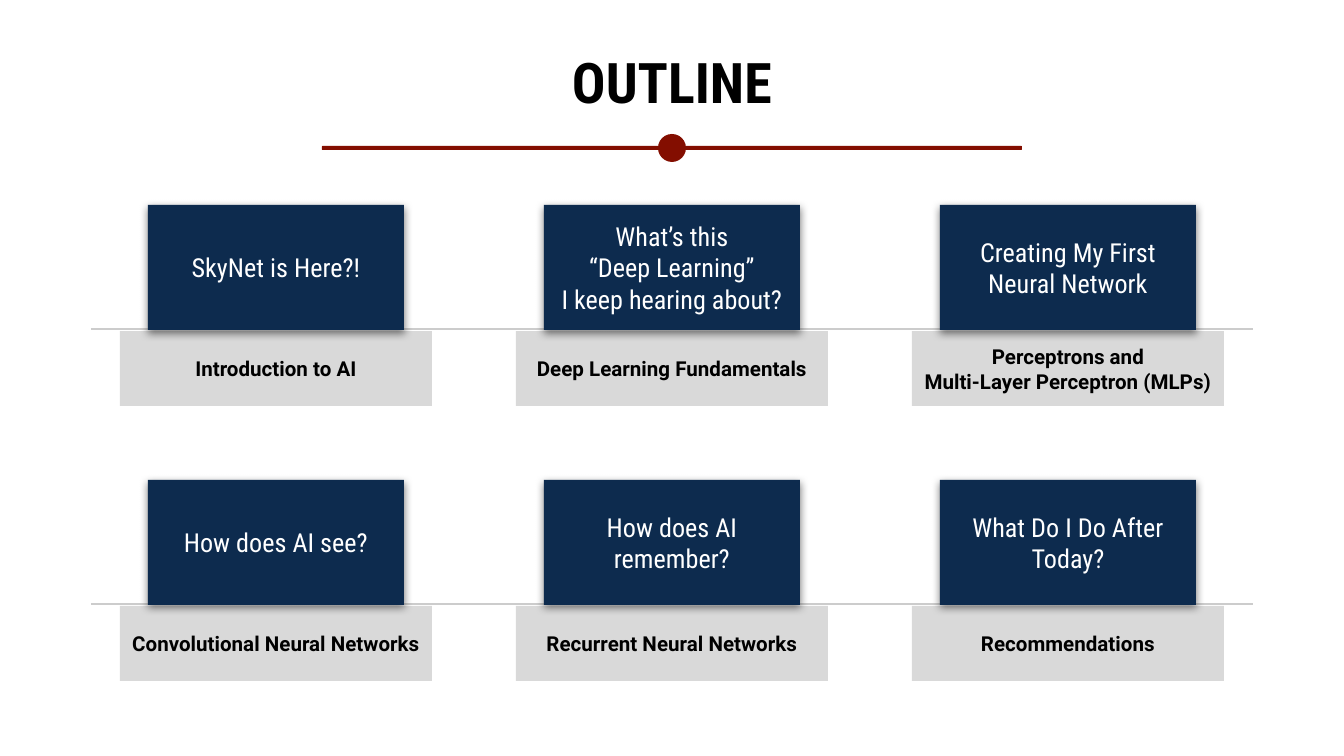
from lxml import etree
from pptx import Presentation
from pptx.dml.color import RGBColor
from pptx.enum.shapes import MSO_CONNECTOR, MSO_SHAPE
from pptx.enum.text import MSO_ANCHOR, PP_ALIGN
from pptx.oxml.ns import qn
from pptx.util import Emu, Pt

SLIDE_WIDTH, SLIDE_HEIGHT = 1344, 756
SCALE = 9144000 / SLIDE_WIDTH
CENTER = SLIDE_WIDTH // 2

COLORS = {
    "text": "000000",
    "card": "0D2B4E",
    "card_text": "FFFFFF",
    "caption": "D9D9D9",
    "rule": "CCCCCC",
    "accent": "830E00",
    "shadow": "000000",
}

# Card question and caption, row by row
TOPICS = [
    [
        ("SkyNet is Here?!", "Introduction to AI"),
        ("What’s this\n“Deep Learning”\nI keep hearing about?", "Deep Learning Fundamentals"),
        ("Creating My First Neural Network", "Perceptrons and\nMulti-Layer Perceptron (MLPs)"),
    ],
    [
        ("How does AI see?", "Convolutional Neural Networks"),
        ("How does AI remember?", "Recurrent Neural Networks"),
        ("What Do I Do After Today?", "Recommendations"),
    ],
]
COLUMN_PITCH, ROW_PITCH = 396, 275
CARD_TOP, CARD_WIDTH, CARD_HEIGHT = 205, 256, 125
CAPTION_TOP, CAPTION_WIDTH, CAPTION_HEIGHT = 331, 312, 75
RULE_TOP, RULE_LEFT = 329, 91


def px(value):
    return Emu(round(value * SCALE))


def color(name):
    return RGBColor.from_string(COLORS[name])


def add_shadow(shape, blur, distance, opacity):
    """Cast a soft shadow straight down; blur and distance are in points."""
    properties = shape._element.spPr
    effects = properties.find(qn("a:effectLst"))
    if effects is None:
        effects = etree.SubElement(properties, qn("a:effectLst"))
    outer = etree.SubElement(
        effects, qn("a:outerShdw"), blurRad=str(Pt(blur)), dist=str(Pt(distance)),
        dir="5400000", algn="bl", rotWithShape="0")
    shade = etree.SubElement(outer, qn("a:srgbClr"), val=COLORS["shadow"])
    etree.SubElement(shade, qn("a:alpha"), val=str(opacity * 1000))


def add_block(slide, kind, left, top, width, height, fill):
    shape = slide.shapes.add_shape(kind, px(left), px(top), px(width), px(height))
    shape.fill.solid()
    shape.fill.fore_color.rgb = color(fill)
    shape.line.fill.background()
    shape.shadow.inherit = False
    return shape


def set_text(shape, text, font, size, ink, bold=False, inset=7):
    frame = shape.text_frame
    frame.word_wrap = True
    frame.vertical_anchor = MSO_ANCHOR.MIDDLE
    frame.margin_left = frame.margin_right = px(inset)
    frame.margin_top = frame.margin_bottom = px(inset)
    paragraph = frame.paragraphs[0]
    paragraph.text = text.replace("\n", "\v")
    paragraph.alignment = PP_ALIGN.CENTER
    paragraph.font.name = font
    paragraph.font.size = Pt(size)
    paragraph.font.bold = bold
    paragraph.font.color.rgb = color(ink)


def add_title(slide, text):
    title = slide.shapes.add_textbox(px(0), px(39), px(SLIDE_WIDTH), px(85))
    set_text(title, text, "Roboto Condensed", 30, "text", bold=True, inset=13)
    # Divider bar with a dot in the middle
    add_block(slide, MSO_SHAPE.FLOWCHART_ALTERNATE_PROCESS, CENTER - 350, 146, 700, 4, "accent")
    add_block(slide, MSO_SHAPE.OVAL, CENTER - 14, 134, 28, 28, "accent")


def add_rule(slide, top):
    rule = slide.shapes.add_connector(
        MSO_CONNECTOR.STRAIGHT, px(RULE_LEFT), px(top), px(SLIDE_WIDTH - RULE_LEFT), px(top))
    rule.line.color.rgb = color("rule")
    rule.line.width = Pt(0.75)
    add_shadow(rule, 3.4, 0.8, 34)


def add_topic(slide, center, offset, question, caption):
    label = add_block(slide, MSO_SHAPE.RECTANGLE, center - CAPTION_WIDTH / 2,
                      CAPTION_TOP + offset, CAPTION_WIDTH, CAPTION_HEIGHT, "caption")
    set_text(label, caption, "Roboto", 11, "text", bold=True)
    card = add_block(slide, MSO_SHAPE.RECTANGLE, center - CARD_WIDTH / 2,
                     CARD_TOP + offset, CARD_WIDTH, CARD_HEIGHT, "card")
    set_text(card, question, "Roboto Condensed", 14, "card_text")
    add_shadow(card, 4.5, 1.5, 50)


def main():
    presentation = Presentation()
    presentation.slide_width = px(SLIDE_WIDTH)
    presentation.slide_height = px(SLIDE_HEIGHT)
    slide = presentation.slides.add_slide(presentation.slide_layouts[6])

    add_title(slide, "OUTLINE")
    for row, topics in enumerate(TOPICS):
        offset = row * ROW_PITCH
        add_rule(slide, RULE_TOP + offset)
        for column, (question, caption) in enumerate(topics):
            center = CENTER + (column - 1) * COLUMN_PITCH
            add_topic(slide, center, offset, question, caption)

    presentation.save("out.pptx")


if __name__ == "__main__":
    main()
